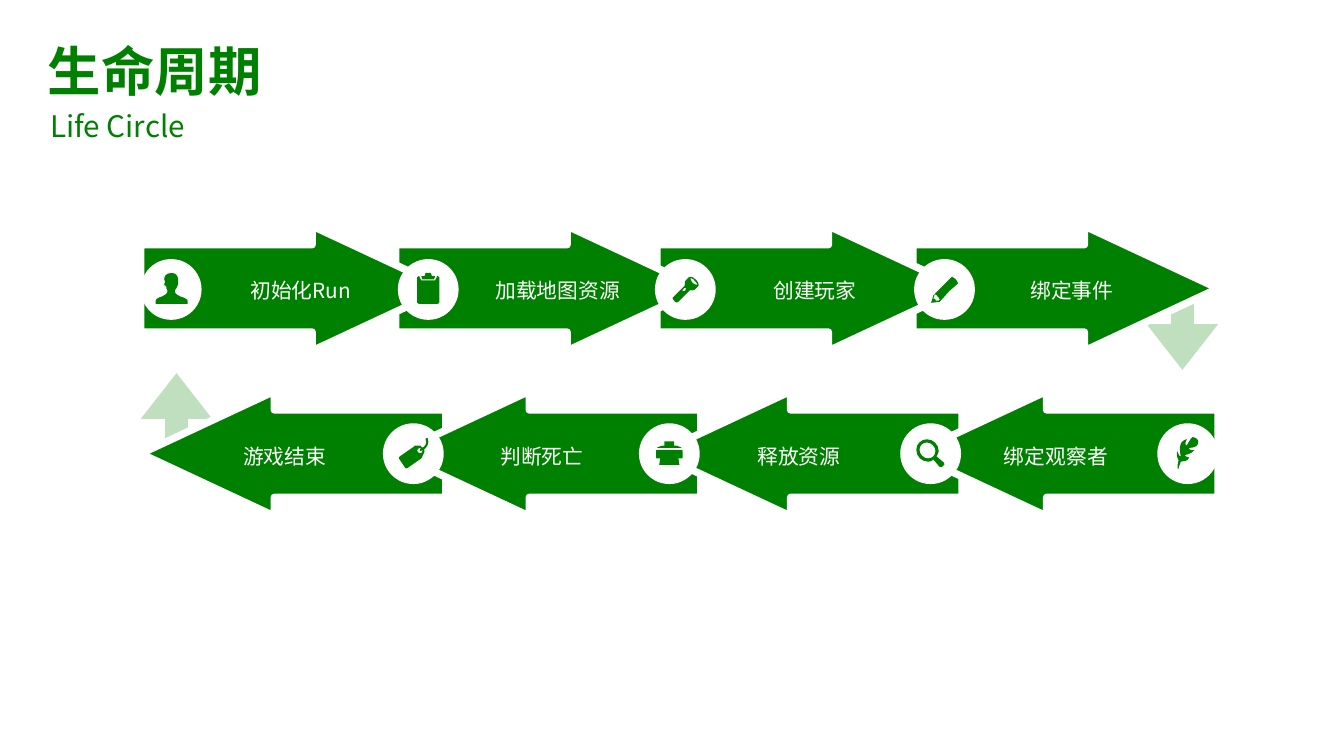
from dataclasses import dataclass

from lxml import etree
from pptx import Presentation
from pptx.dml.color import RGBColor
from pptx.enum.shapes import MSO_SHAPE
from pptx.enum.text import MSO_ANCHOR, PP_ALIGN
from pptx.oxml.ns import qn
from pptx.shapes.autoshape import Shape
from pptx.slide import Slide
from pptx.util import Inches, Pt

RIGHT, LEFT = MSO_SHAPE.RIGHT_ARROW, MSO_SHAPE.LEFT_ARROW
UP, DOWN = MSO_SHAPE.UP_ARROW, MSO_SHAPE.DOWN_ARROW
OVAL = MSO_SHAPE.OVAL
MIDDLE = MSO_ANCHOR.MIDDLE
START, CENTER = PP_ALIGN.LEFT, PP_ALIGN.CENTER
GREEN, WHITE = "008000", "FFFFFF"
FONT = "Noto Sans CJK SC"
LEFTS = (1.32, 3.71, 6.16, 8.56)
PITCH = 2.41
DISC = 0.57

PERSON = ("M 169,278 C 165,276 164,275 164,273 164,271 165,272 166,269 166,267 167,269 167,266 "
          "L 167,265 167,262 C 167,260 166,256 161,256 155,256 154,260 154,262 L 155,265 154,266 "
          "C 154,269 155,267 156,269 156,272 157,271 157,273 157,275 156,276 152,278 "
          "148,279 146,281 146,282 L 146,285 176,285 176,282 C 176,281 173,279 169,278",)
BOARD = ("M 410,259 L 408,263 395,263 393,259 C 392,259 391,260 391,261 L 391,283 "
         "C 391,284 392,285 393,285 L 410,285 C 411,285 412,284 412,283 L 412,261 "
         "C 412,260 411,259 410,259",
         "M 407,262 L 408,259 405,259 404,256 399,256 398,259 395,259 396,262")
TORCH = ("M 649,265 C 648,263 647,261 647,261 647,261 650,261 651,263 653,265 654,267 654,267 "
         "653,267 651,267 649,265 "
         "M 640,273 C 640,272 640,271 641,271 641,270 642,270 643,270 643,271 643,272 642,273 "
         "642,273 641,273 640,273 "
         "M 652,262 C 650,260 647,259 646,260 L 643,263 C 642,264 642,266 642,268 L 631,279 "
         "C 630,279 631,281 632,282 633,284 635,284 636,283 L 647,272 "
         "C 648,273 650,272 651,272 L 655,268 C 655,267 655,264 652,262",)
PENCIL = ("M 880,282 L 878,282 C 877,282 877,281 877,281 876,280 876,280 875,280 L 876,277 "
          "876,276 C 876,276 878,276 879,278 881,280 881,281 881,281 881,281 880,282 880,282 "
          "M 896,262 C 893,259 892,260 892,260 L 884,268 875,277 873,284 881,283 890,273 "
          "898,266 C 898,266 898,264 896,262",)
TAG = ("M 395,425 C 394,425 392,425 392,424 391,423 391,422 392,421 393,420 394,420 395,421 "
       "L 394,421 394,423 395,423 396,422 C 396,423 396,424 395,425 "
       "M 401,411 L 400,411 C 399,411 399,412 399,412 401,416 398,419 396,420 L 395,419 "
       "394,418 389,418 388,419 375,428 C 374,429 374,430 374,430 L 380,439 "
       "C 381,440 381,439 382,439 L 395,430 C 396,429 396,429 396,428 L 398,424 "
       "398,422 397,422 C 400,420 403,416 401,411",)
PRINTER = ("M 616,420 L 639,420 C 638,419 634,418 634,418 L 632,418 632,414 623,414 623,418 "
           "621,418 C 621,418 617,419 616,420",
           "M 639,422 L 616,422 C 615,422 615,423 615,424 L 615,428 C 615,429 615,430 616,430 "
           "L 619,430 618,436 637,436 636,430 639,430 C 640,430 640,429 640,428 L 640,424 "
           "C 640,423 640,422 639,422")
LENS = ("M 862,422 C 862,418 865,415 869,415 873,415 877,419 877,423 877,427 874,430 870,430 "
        "866,430 862,426 862,422 "
        "M 885,434 L 878,428 C 879,426 880,425 880,423 880,417 875,412 869,412 "
        "864,412 859,416 859,422 859,428 864,433 870,433 871,433 873,433 875,431 L 881,438 "
        "C 882,438 883,438 883,438 L 885,436 C 886,436 885,435 885,434",)
PLUME = ("M 1105,439 C 1105,438 1106,436 1107,433 1111,432 1113,433 1115,429 "
         "1113,429 1111,428 1111,427 1111,426 1116,427 1120,422 1116,423 1114,421 1115,420 "
         "1116,420 1120,420 1122,418 1123,417 1124,414 1123,413 1123,412 1120,410 1118,410 "
         "1116,411 1113,418 1112,418 1111,417 1111,414 1113,412 1111,412 1108,414 1107,416 "
         "1105,420 1107,428 1107,428 1106,429 1104,425 1104,423 1103,426 1103,428 1105,432 "
         "1104,434 1104,437 1104,439 1104,440 1105,440 1105,439",)


@dataclass
class Step:
    text: str
    disc: float
    icon: tuple[str, ...]


@dataclass
class Row:
    kind: MSO_SHAPE
    top: float
    disc: float
    label: tuple[float, float]
    steps: list[Step]


ROWS = [
    Row(RIGHT, 2.12, 2.43, (1.89, 2.6), [
        Step("初始化Run", 1.32, PERSON), Step("加载地图资源", 3.73, BOARD),
        Step("创建玩家", 6.14, TORCH), Step("绑定事件", 8.57, PENCIL)]),
    Row(LEFT, 3.67, 3.97, (1.74, 4.16), [
        Step("游戏结束", 3.59, TAG), Step("判断死亡", 5.99, PRINTER),
        Step("释放资源", 8.44, LENS), Step("绑定观察者", 10.85, PLUME)]),
]


def paint(shape: Shape, color: str) -> None:
    shape.shadow.inherit = False
    shape.fill.solid()
    shape.fill.fore_color.rgb = RGBColor.from_string(color)
    shape.line.fill.background()


def add_form(slide: Slide, kind: MSO_SHAPE, box: tuple, color: str, *ratios: float) -> Shape:
    shape = slide.shapes.add_shape(kind, *map(Inches, box))
    for i, ratio in enumerate(ratios):
        shape.adjustments[i] = ratio
    paint(shape, color)
    return shape


def trace(outline: str) -> list[list[tuple]]:
    loops, mode, curve = [], "", []
    for token in outline.split():
        if token in "MLC":
            mode = token
            continue
        point = tuple(Inches(int(n) / 100) for n in token.split(","))
        if mode == "M":
            loops.append([point])
        elif mode == "L":
            loops[-1].append(point)
        else:
            curve.append(point)
        if len(curve) == 3:
            knots = [loops[-1][-1], *curve]
            for t in (0.25, 0.5, 0.75, 1):
                parts = ((1 - t) ** 3, 3 * t * (1 - t) ** 2, 3 * t * t * (1 - t), t ** 3)
                loops[-1].append(tuple(sum(w * k[a] for w, k in zip(parts, knots)) for a in (0, 1)))
            curve = []
    return loops


def add_icon(slide: Slide, outline: str) -> None:
    loops = trace(outline)
    pen = slide.shapes.build_freeform(*loops[0][0])
    for i, loop in enumerate(loops):
        if i:
            pen.move_to(*loop[0])
        pen.add_line_segments(loop[1:], close=True)
    paint(pen.convert_to_shape(), GREEN)


def write(shape: Shape, box: tuple, text: str, size: int, color: str,
          align: PP_ALIGN, bold: bool = False, inset: tuple = (0, 0)) -> None:
    shape.left, shape.top, shape.width, shape.height = map(Inches, box)
    frame = shape.text_frame
    frame.word_wrap = True
    frame.vertical_anchor = MIDDLE
    frame.margin_left = frame.margin_right = Inches(inset[0])
    frame.margin_top = frame.margin_bottom = Inches(inset[1])
    para = frame.paragraphs[0]
    para.alignment = align
    para.space_before = Pt(0)
    run = para.add_run()
    run.text = text
    font = run.font
    font.name, font.size, font.bold = FONT, Pt(size), bold
    font.color.rgb = RGBColor.from_string(color)
    etree.SubElement(run._r.get_or_add_rPr(), qn("a:ea"), typeface=FONT)


def add_turn(slide: Slide, kind: MSO_SHAPE, left: float, top: float) -> None:
    shape = add_form(slide, kind, (left, top, 0.67, 0.76), GREEN, 0.32, 0.64)
    tint = shape.fill._xPr.find(qn("a:solidFill"))[0]
    etree.SubElement(tint, qn("a:alpha"), val="25000")


def main() -> None:
    deck = Presentation()
    deck.slide_width, deck.slide_height = Inches(12.6), Inches(7.09)
    slide = deck.slides.add_slide(deck.slide_layouts[0])
    title, lead = slide.placeholders
    write(title, (0.34, 0.3, 3.99, 0.72), "生命周期", 36, GREEN, START, True, (0.11, 0.06))
    write(lead, (0.47, 1.01, 3.94, 0.34), "Life Circle", 20, GREEN, START)
    add_turn(slide, UP, 1.32, 3.5)
    add_turn(slide, DOWN, 10.75, 2.71)
    for row in ROWS:
        for left in LEFTS[::-1] if row.kind == RIGHT else LEFTS:
            arrow = add_form(slide, row.kind, (left, row.top, 2.86, 1.17), GREEN, 0.7, 1.07)
            arrow.line.color.rgb = RGBColor.from_string(WHITE)
            arrow.line.width = Pt(5)
    for row in ROWS:
        for i, step in enumerate(row.steps):
            add_form(slide, OVAL, (step.disc, row.disc, DISC, DISC), WHITE)
            for outline in step.icon:
                add_icon(slide, outline)
            box = (row.label[0] + i * PITCH, row.label[1], 1.86, 0.24)
            label = slide.shapes.add_textbox(*map(Inches, box))
            write(label, box, step.text, 14, WHITE, CENTER)
    deck.save("out.pptx")


if __name__ == "__main__":
    main()
